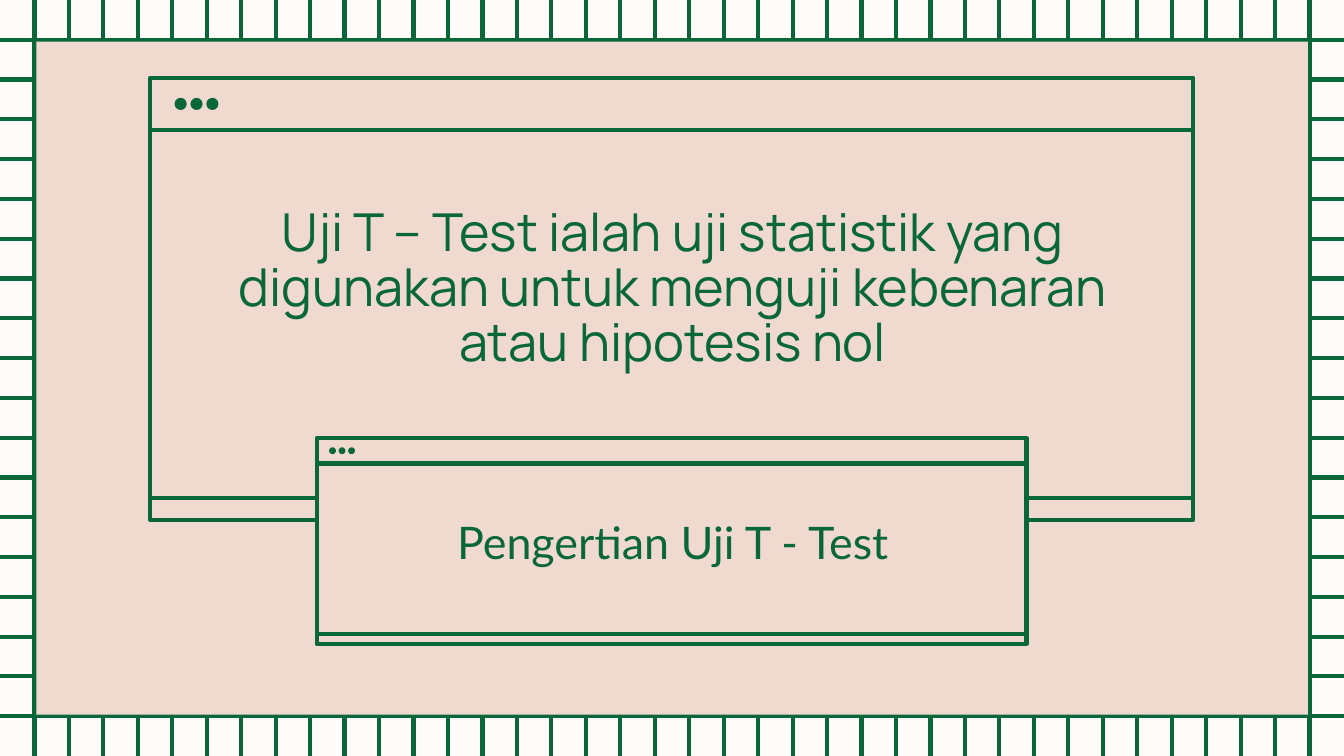
from lxml import etree
from pptx import Presentation
from pptx import util as u
from pptx.dml.color import RGBColor
from pptx.enum import shapes, text
from pptx.oxml import ns

GREEN = RGBColor(0x0A, 0x67, 0x3A)
PINK = RGBColor(0xF0, 0xDA, 0xD0)
CREAM = RGBColor(0xFF, 0xFB, 0xF8)
WIDTH, HEIGHT = 25.4, 14.29
COLUMNS, ROWS = 39, 19


def write(box, words, font, size, color=GREEN, spacing=1.0):
    frame = box.text_frame
    frame.word_wrap = True
    frame.vertical_anchor = text.MSO_ANCHOR.MIDDLE
    frame.margin_left = frame.margin_right = u.Cm(0.25)
    frame.margin_top = frame.margin_bottom = u.Cm(0.25)
    para = frame.paragraphs[0]
    para.alignment = text.PP_ALIGN.CENTER
    para.line_spacing = spacing
    span = para.add_run()
    span.text = words
    span.font.name = font
    span.font.size = u.Pt(size)
    span.font.color.rgb = color


class Painter:
    def __init__(self, slide, ink=GREEN, weight=2.25):
        self.slide = slide
        self.ink = ink
        self.weight = u.Pt(weight)

    def line(self, x1, y1, x2, y2):
        line = self.slide.shapes.add_connector(
            shapes.MSO_CONNECTOR.STRAIGHT, u.Cm(x1), u.Cm(y1), u.Cm(x2), u.Cm(y2))
        line.line.color.rgb = self.ink
        line.line.width = self.weight
        etree.SubElement(line._element.spPr, ns.qn("a:effectLst"))

    def shape(self, kind, x, y, width, height, fill=None, outlined=False):
        shape = self.slide.shapes.add_shape(
            kind, u.Cm(x), u.Cm(y), u.Cm(width), u.Cm(height))
        shape.shadow.inherit = False
        if fill is None:
            shape.fill.background()
        else:
            shape.fill.solid()
            shape.fill.fore_color.rgb = fill
        if outlined:
            shape.line.color.rgb = self.ink
            shape.line.width = self.weight
        else:
            shape.line.fill.background()

    def grid(self, columns, rows):
        for column in range(1, columns):
            x = WIDTH * column / columns
            self.line(x, 0, x, HEIGHT)
        for row in range(1, rows):
            y = HEIGHT * row / rows
            self.line(0, y, WIDTH, y)

    def window(self, x, y, width, height, header, footer, dot, pitch, inset, fill=None):
        self.shape(shapes.MSO_SHAPE.RECTANGLE, x, y, width, height, fill, True)
        for level in (y + header, y + height - footer):
            self.line(x, level, x + width, level)
        top = y + (header - dot) / 2
        for index in range(3):
            self.shape(shapes.MSO_SHAPE.OVAL, x + inset + index * pitch, top,
                       dot, dot, self.ink)

    def label(self, x, y, width, height, words, **style):
        box = self.slide.shapes.add_textbox(
            u.Cm(x), u.Cm(y), u.Cm(width), u.Cm(height))
        write(box, words, **style)


def main():
    deck = Presentation()
    deck.slide_width = u.Cm(WIDTH)
    deck.slide_height = u.Cm(HEIGHT)
    page = deck.slides.add_slide(deck.slide_layouts[6])
    page.background.fill.solid()
    page.background.fill.fore_color.rgb = CREAM

    painter = Painter(page)
    painter.grid(COLUMNS, ROWS)
    painter.shape(shapes.MSO_SHAPE.RECTANGLE, 0.69, 0.79, 24.03, 12.72, PINK)
    painter.window(2.84, 1.47, 19.71, 8.36, header=0.99, footer=0.41,
                   dot=0.23, pitch=0.3, inset=0.46)
    painter.window(5.99, 8.28, 13.41, 3.89, header=0.48, footer=0.18,
                   dot=0.13, pitch=0.18, inset=0.23, fill=PINK)
    painter.label(4.06, 3.15, 17.3, 4.67,
                  "Uji T – Test ialah uji statistik yang digunakan untuk "
                  "menguji kebenaran atau hipotesis nol",
                  font="Manrope", size=28, spacing=0.88)
    painter.label(7.19, 9.12, 11.05, 2.24, "Pengertian Uji T - Test",
                  font="Lato", size=24)
    deck.save("out.pptx")


if __name__ == "__main__":
    main()
